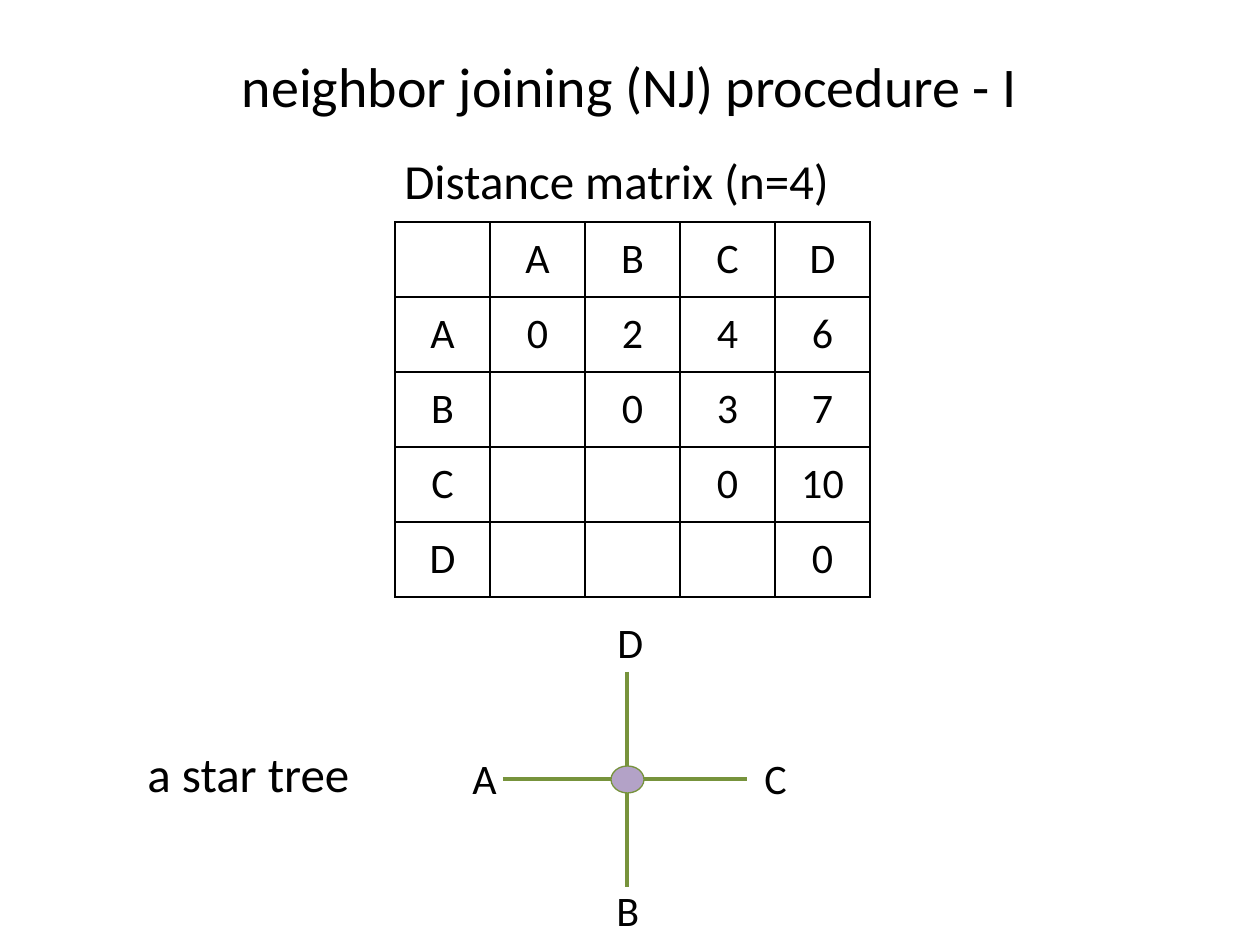
import lxml.etree
import pptx
import pptx.dml.color
import pptx.enum.shapes
import pptx.enum.text
import pptx.oxml
import pptx.oxml.ns
import pptx.util

PX = 914400 / 126
COLORS = {"text": "000000", "grid": "000000", "branch": "77933C", "node": "B3A2C7"}
ALIGN = pptx.enum.text.PP_ALIGN
MIDDLE = pptx.enum.text.MSO_ANCHOR.MIDDLE
qn = pptx.oxml.ns.qn


def emu(*lengths):
    return [pptx.util.Emu(round(n * PX)) for n in lengths]


def write(tf, text, size, align=ALIGN.LEFT):
    p = tf.paragraphs[0]
    p.alignment = align
    r = p.add_run()
    r.text = text
    font = {"name": "Calibri", "size": pptx.util.Pt(size), "bold": False}
    for key, value in font.items():
        setattr(r.font, key, value)
    r.font.color.rgb = pptx.dml.color.RGBColor.from_string(COLORS["text"])


prs = pptx.Presentation()
prs.slide_width, prs.slide_height = emu(1260, 945)
s = prs.slides.add_slide(prs.slide_layouts[6])

# Title
title = s.shapes.add_textbox(*emu(63, 38, 1134, 94))
title.text_frame.word_wrap = True
title.text_frame.vertical_anchor = MIDDLE
write(title.text_frame, "neighbor joining (NJ) procedure - I", 32, ALIGN.CENTER)

# Star tree: central node and four branches
branch_color = pptx.dml.color.RGBColor.from_string(COLORS["branch"])
node = s.shapes.add_shape(pptx.enum.shapes.MSO_SHAPE.OVAL, *emu(611, 766, 33, 27))
node.shadow.inherit = False
node.fill.solid()
node.fill.fore_color.rgb = pptx.dml.color.RGBColor.from_string(COLORS["node"])
node.line.color.rgb = branch_color
node.line.width = pptx.util.Pt(0.75)

branches = [
    (627, 672, 627, 766),
    (627, 793, 627, 887),
    (747, 779, 644, 779),
    (503, 779, 611, 779),
]
for ends in branches:
    line = s.shapes.add_connector(pptx.enum.shapes.MSO_CONNECTOR.STRAIGHT, *emu(*ends))
    line.line.color.rgb = branch_color
    line.line.width = pptx.util.Pt(2)
    lxml.etree.SubElement(line._element.spPr, qn("a:effectLst"))

# Headings and leaf labels
labels = [
    ("Distance matrix (n=4)", 28, 392, 144, 455, 72),
    ("a star tree", 28, 135, 737, 246, 72),
    ("A", 24, 460, 746, 50, 63),
    ("B", 24, 604, 878, 48, 63),
    ("C", 24, 752, 746, 48, 63),
    ("D", 24, 605, 610, 52, 63),
]
for text, size, *box in labels:
    sp = s.shapes.add_textbox(*emu(*box))
    sp.text_frame.word_wrap = False
    write(sp.text_frame, text, size)

# Distance matrix, upper triangle only
rows = [
    ["", "A", "B", "C", "D"],
    ["A", "0", "2", "4", "6"],
    ["B", "", "0", "3", "7"],
    ["C", "", "", "0", "10"],
    ["D", "", "", "", "0"],
]
n = len(rows)
col_w, row_h = 95, 75
table = s.shapes.add_table(n, n, *emu(395, 222, n * col_w, n * row_h)).table
table.first_row = False
table.horz_banding = False
for i, row in enumerate(rows):
    for j, text in enumerate(row):
        cell = table.cell(i, j)
        cell.fill.background()
        cell.vertical_anchor = MIDDLE
        if text:
            write(cell.text_frame, text, 24, ALIGN.CENTER)
        tc_pr = cell._tc.get_or_add_tcPr()
        for k, side in enumerate(("a:lnL", "a:lnR", "a:lnT", "a:lnB")):
            ln = lxml.etree.Element(qn(side), w=str(pptx.util.Pt(1)))
            fill = lxml.etree.SubElement(ln, qn("a:solidFill"))
            lxml.etree.SubElement(fill, qn("a:srgbClr"), val=COLORS["grid"])
            tc_pr.insert(k, ln)

prs.save("out.pptx")
